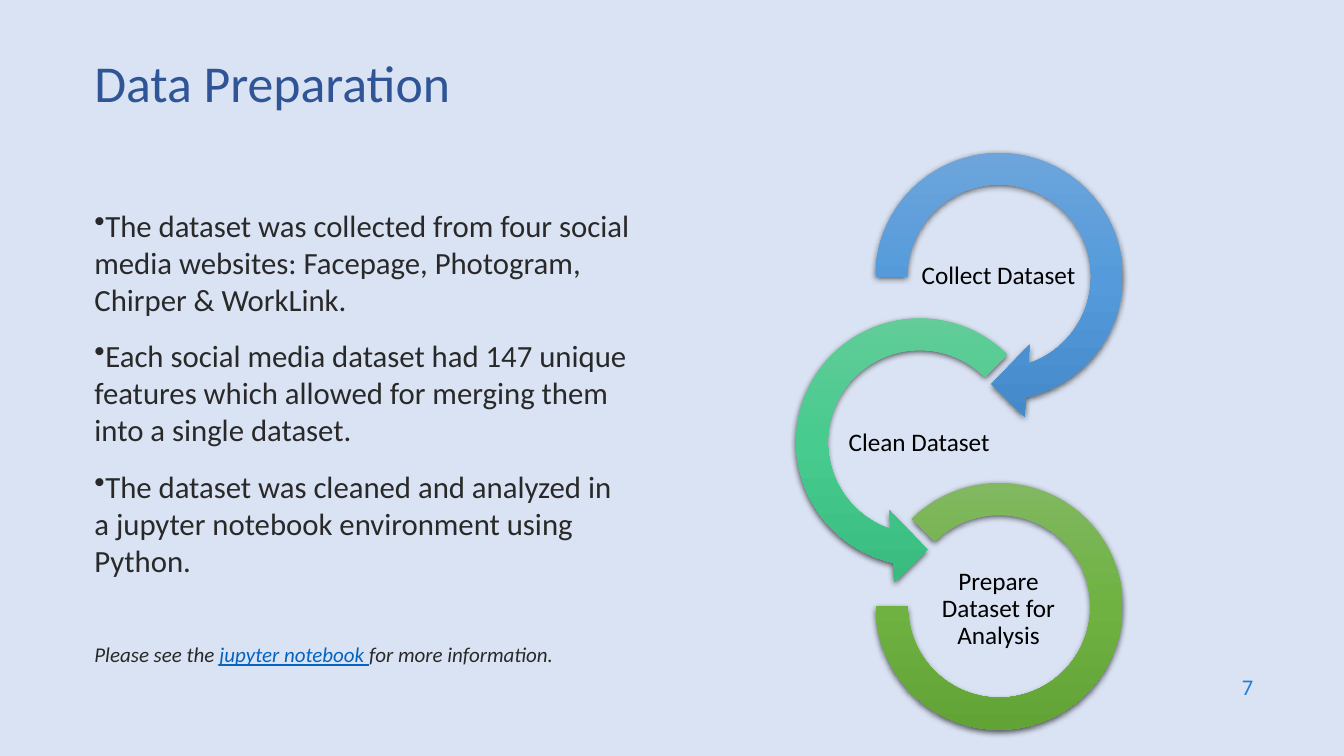
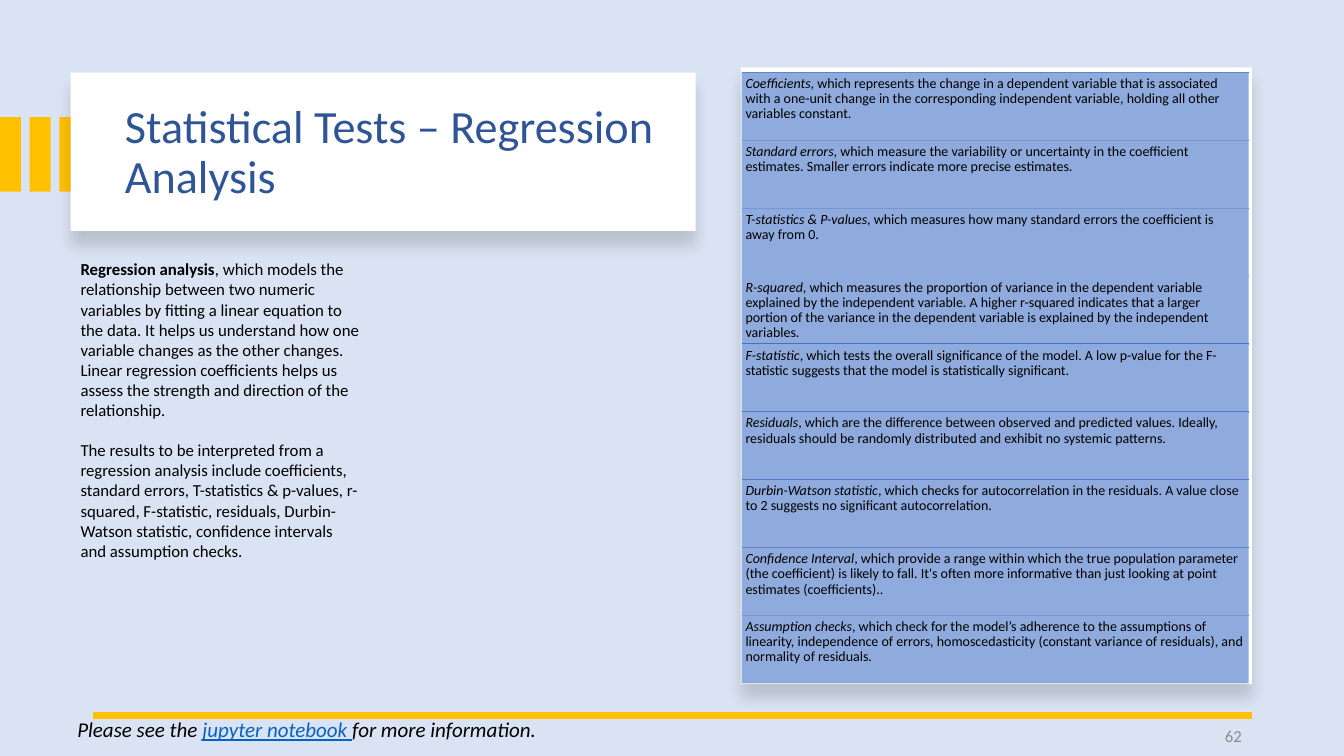
from copy import deepcopy
from dataclasses import dataclass
from typing import NamedTuple

from lxml import etree
from pptx import Presentation
from pptx import util as u
from pptx.dml.color import RGBColor
from pptx.enum import shapes, text
from pptx.oxml import ns

# Shared look
FONT = "Calibri"
BACKGROUND = RGBColor(0xDA, 0xE3, 0xF3)
TITLE_BLUE = RGBColor(0x2F, 0x55, 0x97)
LINK_BLUE = RGBColor(0x05, 0x63, 0xC1)
NUMBER_BLUE = RGBColor(0x1C, 0x7D, 0xDB)
NUMBER_GRAY = RGBColor(0x8C, 0x8C, 0x8C)
ROW_BLUE = RGBColor(0x8F, 0xAA, 0xDC)
RULE_BLUE = RGBColor(0x44, 0x72, 0xC4)
DARK = RGBColor(0x29, 0x29, 0x29)
BLACK = RGBColor(0, 0, 0)
WHITE = RGBColor(0xFF, 0xFF, 0xFF)
GOLD = RGBColor(0xFF, 0xC0, 0x00)
ARROW_BLUES = (RGBColor(0x71, 0xA6, 0xDB), RGBColor(0x55, 0x9B, 0xDB), RGBColor(0x44, 0x8A, 0xCA))
ARROW_TEALS = (RGBColor(0x67, 0xCC, 0x9A), RGBColor(0x47, 0xCB, 0x8E), RGBColor(0x39, 0xBB, 0x7F))
ARC_GREENS = (RGBColor(0x81, 0xB8, 0x61), RGBColor(0x6F, 0xB2, 0x42), RGBColor(0x62, 0xA3, 0x36))

LEFT, CENTER, RIGHT = text.PP_ALIGN.LEFT, text.PP_ALIGN.CENTER, text.PP_ALIGN.RIGHT
TOP, MIDDLE = text.MSO_ANCHOR.TOP, text.MSO_ANCHOR.MIDDLE
SHAPE = shapes.MSO_SHAPE


class Box(NamedTuple):
    """Position and size in centimetres."""
    left: float
    top: float
    width: float
    height: float

    def lengths(self) -> list:
        return [u.Cm(value) for value in self]


class Shadow(NamedTuple):
    """Downward shadow: opacity in percent, lengths in points."""
    opacity: int
    blur: float
    distance: float


@dataclass
class Run:
    text: str
    bold: bool = False
    italic: bool = False
    underline: bool = False
    color: RGBColor | None = None


@dataclass
class Line:
    """One paragraph."""
    runs: list[Run]
    size: float
    color: RGBColor = BLACK
    align: text.PP_ALIGN = LEFT
    spacing: float = 1.0
    before: float = 0
    bullet: bool = False


@dataclass
class Stage:
    """One ring of the process with its caption."""
    caption: str
    kind: shapes.MSO_SHAPE
    box: Box
    caption_left: float
    adjustments: tuple[float, ...]
    colors: tuple[RGBColor, ...]


class Term(NamedTuple):
    name: str
    meaning: str


RING_SHADOW = Shadow(63, 4.5, 1.5)
CARD_SHADOW = Shadow(15, 11, 10)

NOTE_RUNS = [
    Run("Please see the ", italic=True),
    Run("jupyter notebook ", italic=True, underline=True, color=LINK_BLUE),
    Run("for more information.", italic=True),
]

PREPARATION_POINTS = [
    "The dataset was collected from four social media websites: Facepage, Photogram, "
    "Chirper & WorkLink.",
    "Each social media dataset had 147 unique features which allowed for merging them "
    "into a single dataset.",
    "The dataset was cleaned and analyzed in a jupyter notebook environment using Python.",
]

STAGES = [
    Stage("Collect Dataset", SHAPE.CIRCULAR_ARROW, Box(21.56, 3.35, 7.24, 7.24), 23.16,
          (0.11, 11.42, 45, 108, 0.125), ARROW_BLUES),
    Stage("Clean Dataset", SHAPE.LEFT_CIRCULAR_ARROW, Box(19.56, 7.52, 7.24, 7.24), 21.16,
          (0.11, 11.42, 63, 189, 0.125), ARROW_TEALS),
    Stage("Prepare Dataset for Analysis", SHAPE.BLOCK_ARC, Box(22.07, 12.17, 6.22, 6.22), 23.16,
          (135, 108, 0.13), ARC_GREENS),
]

REGRESSION_INTRO = (
    ", which models the relationship between two numeric variables by fitting a linear "
    "equation to the data. It helps us understand how one variable changes as the other "
    "changes. Linear regression coefficients helps us assess the strength and direction "
    "of the relationship."
)
REGRESSION_RESULTS = (
    "The results to be interpreted from a regression analysis include coefficients, "
    "standard errors, T-statistics & p-values, r-squared, F-statistic, residuals, "
    "Durbin-Watson statistic, confidence intervals and assumption checks."
)

TERMS = [
    Term("Coefficients", ", which represents the change in a dependent variable that is "
         "associated with a one-unit change in the corresponding independent variable, "
         "holding all other variables constant."),
    Term("Standard errors", ", which measure the variability or uncertainty in the "
         "coefficient estimates. Smaller errors indicate more precise estimates."),
    Term("T-statistics & P-values", ", which measures how many standard errors the "
         "coefficient is away from 0."),
    Term("R-squared", ", which measures the proportion of variance in the dependent variable "
         "explained by the independent variable. A higher r-squared indicates that a larger "
         "portion of the variance in the dependent variable is explained by the independent "
         "variables."),
    Term("F-statistic", ", which tests the overall significance of the model. A low p-value "
         "for the F-statistic suggests that the model is statistically significant."),
    Term("Residuals", ", which are the difference between observed and predicted values. "
         "Ideally, residuals should be randomly distributed and exhibit no systemic patterns."),
    Term("Durbin-Watson statistic", ", which checks for autocorrelation in the residuals. "
         "A value close to 2 suggests no significant autocorrelation."),
    Term("Confidence Interval", ", which provide a range within which the true population "
         "parameter (the coefficient) is likely to fall. It's often more informative than "
         "just looking at point estimates (coefficients).."),
    Term("Assumption checks", ", which check for the model’s adherence to the assumptions of "
         "linearity, independence of errors, homoscedasticity (constant variance of "
         "residuals), and normality of residuals."),
]


# Drawing helpers
def fill_text(shape, lines: list[Line], anchor=TOP, inset: float | None = None) -> None:
    frame = shape.text_frame
    frame.word_wrap = True
    frame.vertical_anchor = anchor
    if inset is not None:
        frame.margin_left = frame.margin_right = u.Cm(inset)
        frame.margin_top = frame.margin_bottom = u.Cm(inset)
    for index, line in enumerate(lines):
        paragraph = frame.add_paragraph() if index else frame.paragraphs[0]
        paragraph.alignment = line.align
        paragraph.line_spacing = line.spacing
        paragraph.space_before = u.Pt(line.before)
        if line.bullet:
            properties = paragraph._p.get_or_add_pPr()
            etree.SubElement(properties, ns.qn("a:buChar")).set("char", "•")
        for part in line.runs:
            run = paragraph.add_run()
            run.text = part.text
            font = run.font
            font.name, font.size = FONT, u.Pt(line.size)
            font.bold, font.italic, font.underline = part.bold, part.italic, part.underline
            font.color.rgb = part.color or line.color


def add_text(slide, box: Box, lines: list[Line], anchor=TOP, inset: float | None = None) -> None:
    fill_text(slide.shapes.add_textbox(*box.lengths()), lines, anchor, inset)


def add_title(slide, box: Box, title: str, size: float, spacing: float) -> None:
    add_text(slide, box, [Line([Run(title)], size, TITLE_BLUE, spacing=spacing)], MIDDLE)


def add_number(slide, box: Box, number: str, size: float, color: RGBColor) -> None:
    add_text(slide, box, [Line([Run(number)], size, color, RIGHT)], MIDDLE)


def add_plain_shape(slide, kind, box: Box, color: RGBColor, shadow: Shadow | None = None):
    shape = slide.shapes.add_shape(kind, *box.lengths())
    shape.fill.solid()
    shape.fill.fore_color.rgb = color
    shape.line.fill.background()
    shape.shadow.inherit = False
    if shadow:
        effects = shape._element.spPr.find(ns.qn("a:effectLst"))
        outer = etree.SubElement(effects, ns.qn("a:outerShdw"), {
            "blurRad": str(u.Pt(shadow.blur)), "dist": str(u.Pt(shadow.distance)),
            "dir": "5400000", "algn": "ctr", "rotWithShape": "0"})
        tone = etree.SubElement(outer, ns.qn("a:srgbClr"), val=str(BLACK))
        etree.SubElement(tone, ns.qn("a:alpha"), val=str(shadow.opacity * 1000))
    return shape


def add_rule(slide, start: float, end: float, top: float, color: RGBColor, width: float) -> None:
    rule = slide.shapes.add_connector(
        shapes.MSO_CONNECTOR.STRAIGHT, u.Cm(start), u.Cm(top), u.Cm(end), u.Cm(top))
    rule.line.color.rgb = color
    rule.line.width = u.Pt(width)
    etree.SubElement(rule._element.spPr, ns.qn("a:effectLst"))


def add_stage_ring(slide, stage: Stage) -> None:
    ring = add_plain_shape(slide, stage.kind, stage.box, stage.colors[0], RING_SHADOW)
    for index, value in enumerate(stage.adjustments):
        ring.adjustments[index] = value
    ring.fill.gradient()
    ring.fill.gradient_angle = 270
    stop_list = ring._element.spPr.find(".//" + ns.qn("a:gsLst"))
    stop_list.append(deepcopy(stop_list[-1]))
    for index, (stop, color) in enumerate(zip(ring.fill.gradient_stops, stage.colors)):
        stop.color.rgb = color
        stop.position = index / 2


# Slides
def build_preparation(slide) -> None:
    add_number(slide, Box(24.21, 16.74, 7.62, 1.12), "7", 16, NUMBER_BLUE)
    lines = [Line([Run(point)], 22, DARK, before=14 if index else 0, bullet=True)
             for index, point in enumerate(PREPARATION_POINTS)]
    lines.append(Line(NOTE_RUNS, 15, DARK, before=45.5))
    add_text(slide, Box(2.13, 5.08, 14.05, 12.09), lines)
    add_title(slide, Box(2.13, 1.5, 29.21, 1.52), "Data Preparation", 37, 0.7)

    # Process rings
    for index, stage in enumerate(STAGES):
        add_stage_ring(slide, stage)
        caption_box = Box(stage.caption_left, 5.97 + 4.19 * index, 4.01, 2.01)
        caption = Line([Run(stage.caption)], 18, align=CENTER, spacing=0.9)
        add_text(slide, caption_box, [caption], MIDDLE, 0.03)


def build_regression(slide) -> None:
    # Gold bars and title card
    for index in range(3):
        add_plain_shape(slide, SHAPE.RECTANGLE, Box(0.75 * index, 2.95, 0.53, 1.88), GOLD)
    add_plain_shape(slide, SHAPE.RECTANGLE, Box(1.78, 1.83, 15.75, 3.99), WHITE, CARD_SHADOW)
    add_title(slide, Box(2.9, 2.44, 14.05, 2.87), "Statistical Tests – Regression Analysis", 33, 0.9)
    add_plain_shape(slide, SHAPE.RECTANGLE, Box(18.67, 1.7, 12.88, 15.54), WHITE, CARD_SHADOW)

    # Footer
    add_rule(slide, 31.55, 2.34, 18.03, GOLD, 4.5)
    add_number(slide, Box(23.93, 18.03, 7.62, 1.02), "62", 12, NUMBER_GRAY)
    add_text(slide, Box(1.7, 17.93, 14.02, 0.89), [Line(NOTE_RUNS, 15)])

    # Explanation
    add_text(slide, Box(1.78, 6.4, 7.57, 8.13), [
        Line([Run("Regression analysis", bold=True), Run(REGRESSION_INTRO)], 12),
        Line([Run(REGRESSION_RESULTS)], 12, before=14),
    ])

    # Glossary rows
    left, top, width, height = 18.69, 1.83, 12.78, 1.71
    for index, term in enumerate(TERMS):
        row_top = top + index * height
        add_rule(slide, left, left + width, row_top, RULE_BLUE, 1)
        row = add_plain_shape(slide, SHAPE.RECTANGLE, Box(left, row_top, width, height), ROW_BLUE)
        runs = [Run(term.name, italic=True), Run(term.meaning)]
        fill_text(row, [Line(runs, 10, spacing=0.9)], inset=0.1)


def main() -> None:
    presentation = Presentation()
    presentation.slide_width, presentation.slide_height = u.Cm(33.87), u.Cm(19.05)
    background = presentation.slide_master.background.fill
    background.solid()
    background.fore_color.rgb = BACKGROUND
    for build in (build_preparation, build_regression):
        build(presentation.slides.add_slide(presentation.slide_layouts[6]))
    presentation.save("out.pptx")


if __name__ == "__main__":
    main()
